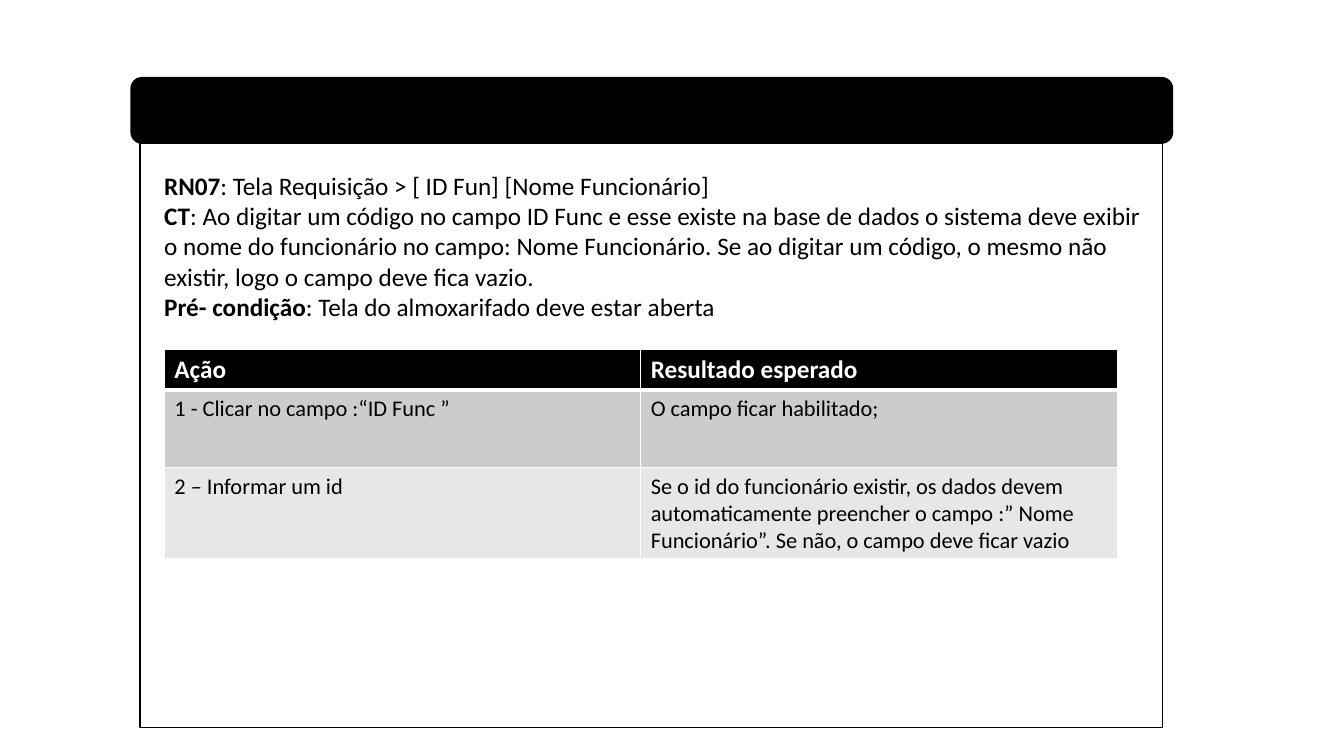
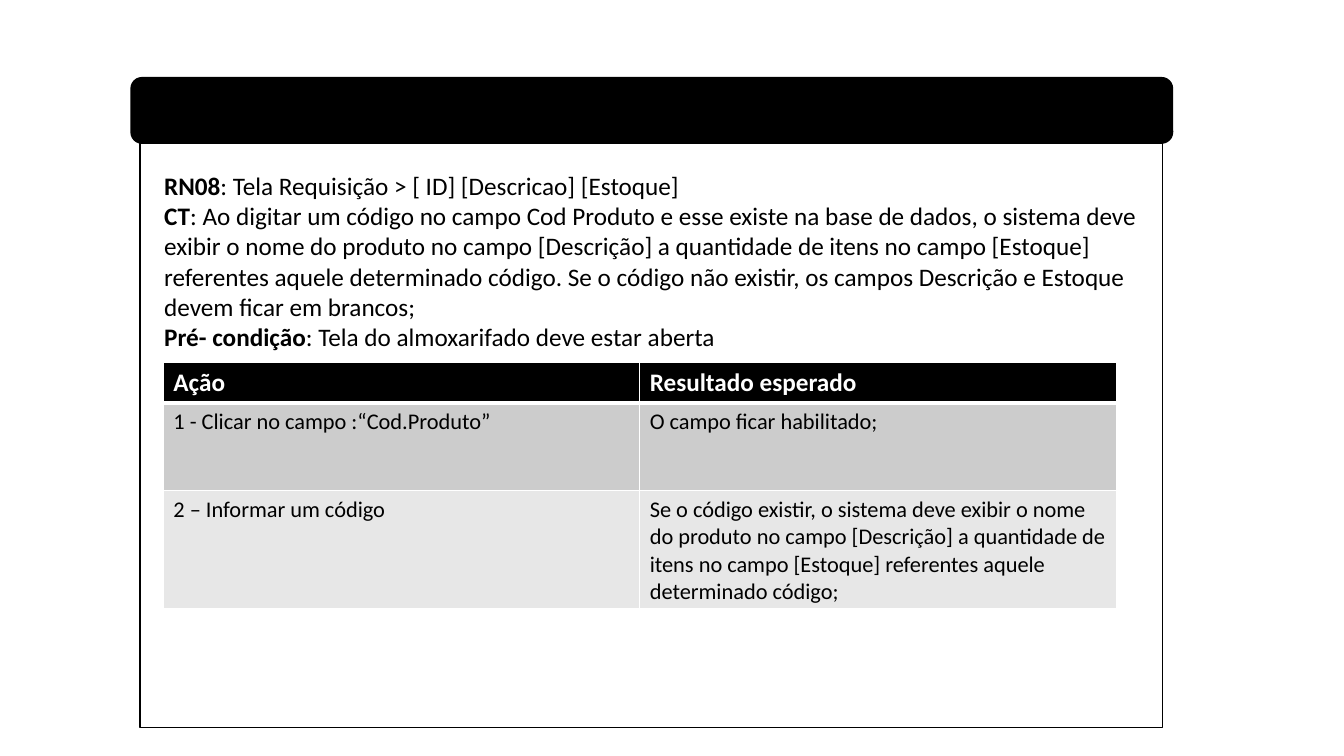
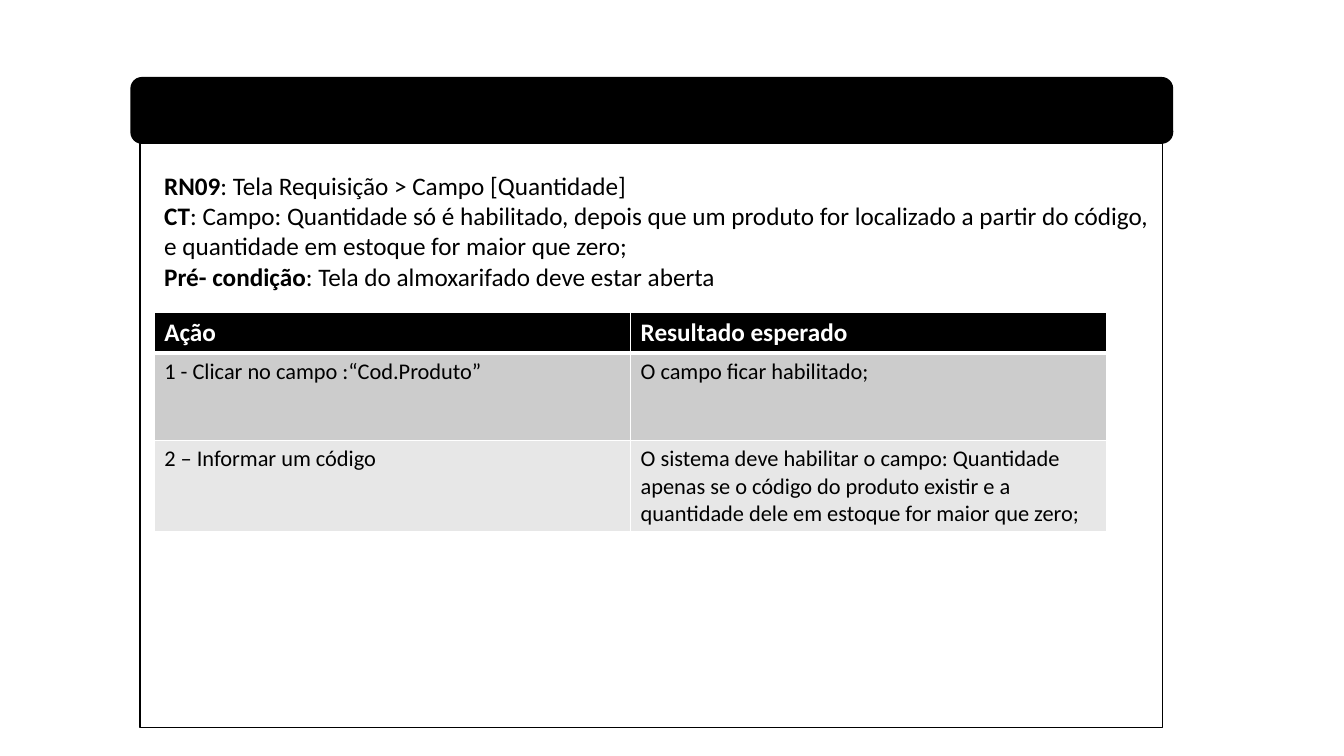
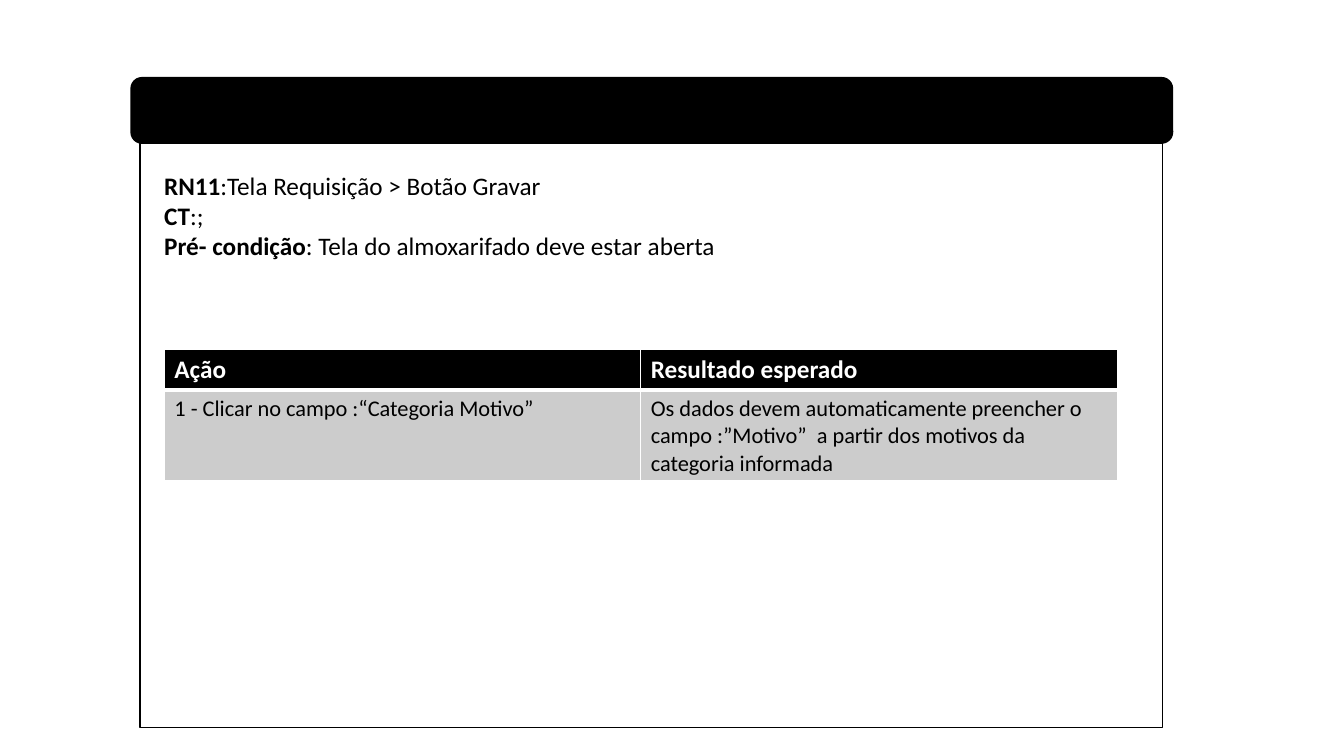
from lxml.etree import SubElement
from pptx import Presentation
from pptx.dml.color import RGBColor
from pptx.enum.shapes import MSO_SHAPE
from pptx.enum.text import MSO_AUTO_SIZE
from pptx.oxml.ns import qn
from pptx.util import Inches, Pt

FONT = "Calibri"
BLACK = "000000"
WHITE = "FFFFFF"
ROW_FILLS = ["CCCCCC", "E7E7E7"]
HEADER = ["Ação", "Resultado esperado"]
PRECONDITION = "Tela do almoxarifado deve estar aberta"


def rgb(hex_color):
    return RGBColor.from_string(hex_color)


def add_text(p, text, size=18, color=BLACK, bold=False):
    r = p.add_run()
    r.text = text
    r.font.name = FONT
    r.font.size = Pt(size)
    r.font.color.rgb = rgb(color)
    r.font.bold = bold
    return r


def set_borders(cell, **widths):
    tc_pr = cell._tc.get_or_add_tcPr()
    for side in "LRTB":
        ln = SubElement(tc_pr, qn(f"a:ln{side}"), w=str(Pt(widths.get(side, 1))))
        fill = SubElement(ln, qn("a:solidFill"))
        SubElement(fill, qn("a:srgbClr"), val=WHITE)


class Deck:
    def __init__(self):
        self.prs = Presentation()
        self.prs.slide_width = Inches(13.33)
        self.prs.slide_height = Inches(7.5)
        self.s = None

    def new_slide(self):
        self.s = self.prs.slides.add_slide(self.prs.slide_layouts[6])
        self.shape(MSO_SHAPE.ROUNDED_RECTANGLE, 1.3, 0.77, 10.33, 0.65, fill=BLACK)
        self.shape(MSO_SHAPE.RECTANGLE, 1.39, 1.42, 10.14, 5.8)

    def shape(self, kind, x, y, w, h, fill=None):
        sp = self.s.shapes.add_shape(kind, Inches(x), Inches(y), Inches(w), Inches(h))
        sp.shadow.inherit = False
        if fill:
            sp.fill.solid()
            sp.fill.fore_color.rgb = rgb(fill)
        else:
            sp.fill.background()
        sp.line.color.rgb = rgb(BLACK)
        sp.line.width = Pt(1)
        return sp

    def description(self, height, entries):
        sp = self.s.shapes.add_textbox(Inches(1.53), Inches(1.64), Inches(10), Inches(height))
        tf = sp.text_frame
        tf.word_wrap = True
        tf.auto_size = MSO_AUTO_SIZE.SHAPE_TO_FIT_TEXT
        for i, (label, text) in enumerate(entries):
            p = tf.add_paragraph() if i else tf.paragraphs[0]
            add_text(p, label, bold=True)
            add_text(p, text)

    def steps_table(self, x, y, heights, steps):
        rows = [HEADER] + steps
        heights = [0.4] + heights
        frame = self.s.shapes.add_table(len(rows), len(HEADER), Inches(x), Inches(y),
                                        Inches(9.45), Inches(sum(heights)))
        table = frame.table
        for i, (row, height) in enumerate(zip(rows, heights)):
            table.rows[i].height = Inches(height)
            for j, text in enumerate(row):
                self.cell(table.cell(i, j), i, text)

    def cell(self, cell, i, text):
        p = cell.text_frame.paragraphs[0]
        if i == 0:
            fill = BLACK
            add_text(p, text, color=WHITE, bold=True)
            set_borders(cell, B=3)
        else:
            fill = ROW_FILLS[(i - 1) % 2]
            add_text(p, text, size=16)
            set_borders(cell, T=3 if i == 1 else 1)
        cell.fill.solid()
        cell.fill.fore_color.rgb = rgb(fill)

    def test_case(self, rule, screen, case, text_height, table_at, row_heights, steps):
        self.new_slide()
        self.description(text_height, [(rule, screen), ("CT", case),
                                       ("Pré- condição", ": " + PRECONDITION)])
        self.steps_table(*table_at, row_heights, steps)


def main():
    deck = Deck()
    deck.test_case(
        "RN07", ": Tela Requisição > [ ID Fun] [Nome Funcionário]",
        ": Ao digitar um código no campo ID Func e esse existe na base de dados o sistema "
        "deve exibir o nome do funcionário no campo: Nome Funcionário. Se ao digitar um "
        "código, o mesmo não existir, logo o campo deve fica vazio.",
        1.62, (1.63, 3.47), [0.77, 0.77],
        [["1 - Clicar no campo :“ID Func ”", "O campo ficar habilitado;"],
         ["2 – Informar um id",
          "Se o id do funcionário existir, os dados devem automaticamente preencher o "
          "campo :” Nome Funcionário”. Se não, o campo deve ficar vazio"]])
    deck.test_case(
        "RN08", ": Tela Requisição > [ ID] [Descricao] [Estoque]",
        ": Ao digitar um código no campo Cod Produto e esse existe na base de dados, o "
        "sistema deve exibir o nome do produto no campo [Descrição] a quantidade de itens "
        "no campo [Estoque] referentes aquele determinado código. Se o código não existir, "
        "os campos Descrição e Estoque devem ficar em brancos;",
        1.92, (1.62, 3.6), [0.87, 0.77],
        [["1 - Clicar no campo :“Cod.Produto”", "O campo ficar habilitado;"],
         ["2 – Informar um código",
          "Se o código existir, o sistema deve exibir o nome do produto no campo "
          "[Descrição] a quantidade de itens no campo [Estoque] referentes aquele "
          "determinado código;"]])
    deck.test_case(
        "RN09", ": Tela Requisição > Campo [Quantidade]",
        ": Campo: Quantidade só é habilitado, depois que um produto for localizado a "
        "partir do código, e quantidade em estoque for maior que zero;",
        1.31, (1.53, 3.1), [0.87, 0.77],
        [["1 - Clicar no campo :“Cod.Produto”", "O campo ficar habilitado;"],
         ["2 – Informar um código",
          "O sistema deve habilitar o campo: Quantidade apenas se o código do produto "
          "existir e a quantidade dele em estoque for maior que zero;"]])
    deck.test_case(
        "RN11", ":Tela Requisição > Botão Gravar", ":;",
        1.01, (1.63, 3.47), [0.77],
        [["1 - Clicar no campo :“Categoria Motivo”",
          "Os dados devem automaticamente preencher o campo :”Motivo”  a partir dos "
          "motivos da categoria informada"]])
    deck.prs.save("out.pptx")


if __name__ == "__main__":
    main()
